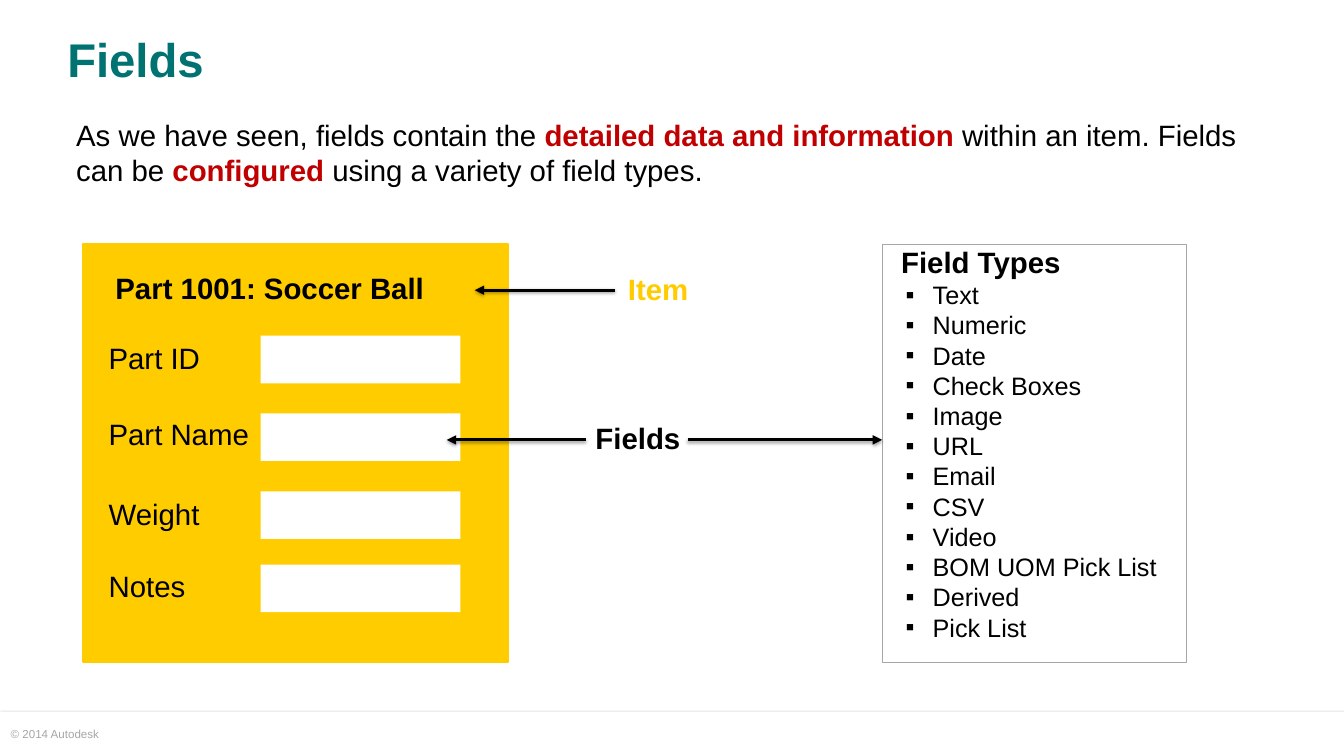
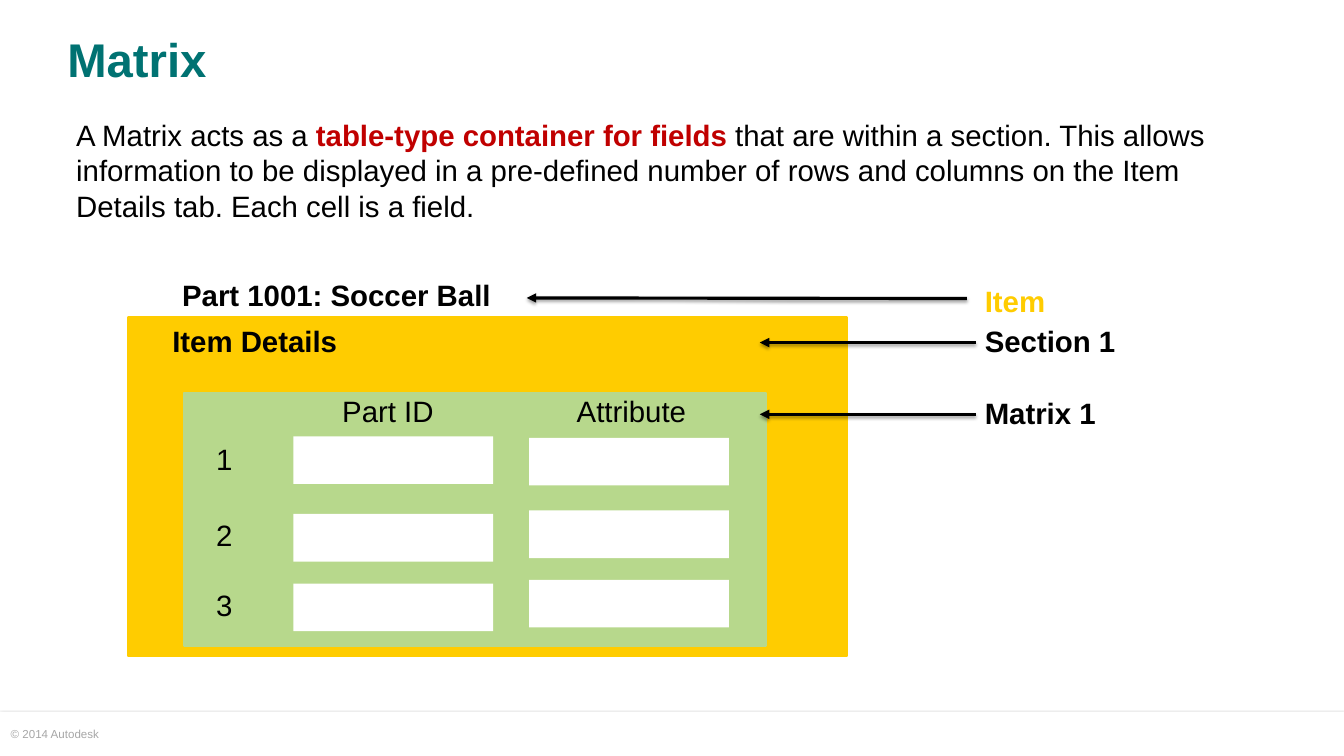
from lxml.etree import SubElement
from pptx import Presentation
from pptx.dml.color import RGBColor
from pptx.enum.shapes import MSO_CONNECTOR, MSO_SHAPE
from pptx.enum.text import MSO_ANCHOR, MSO_AUTO_SIZE, PP_ALIGN
from pptx.oxml import parse_xml
from pptx.oxml.ns import nsdecls, qn
from pptx.util import Cm, Pt

C = {"black": "000000", "white": "FFFFFF", "teal": "007272", "red": "C00000",
     "yellow": "FFCC00", "green": "B7D88C", "gray": "A6A6A6"}
FONT = "Arial"
SHADOW = (f'<a:effectLst {nsdecls("a")}><a:outerShdw blurRad="39400" dist="21600" dir="5400000" '
          'rotWithShape="0"><a:srgbClr val="000000"><a:alpha val="36000"/></a:srgbClr>'
          '</a:outerShdw></a:effectLst>')


def box(s, x, y, w, h, paras=(), fill=None, line=None, line_w=2, size=28, indent=0.3):
    at = Cm(x), Cm(y), Cm(w), Cm(h)
    if fill or line:
        sp = s.shapes.add_shape(MSO_SHAPE.RECTANGLE, *at)
        sp.shadow.inherit = False
        if fill:
            sp.fill.solid()
            sp.fill.fore_color.rgb = RGBColor.from_string(C[fill])
        else:
            sp.fill.background()
        if line:
            sp.line.color.rgb = RGBColor.from_string(C[line])
            sp.line.width = Pt(line_w)
        else:
            sp.line.fill.background()
    else:
        sp = s.shapes.add_textbox(*at)
    tf = sp.text_frame
    tf.word_wrap = True
    tf.vertical_anchor = MSO_ANCHOR.TOP
    tf.margin_left = tf.margin_top = tf.margin_right = tf.margin_bottom = 0
    for i, runs in enumerate(paras):
        p = tf.paragraphs[0] if i == 0 else tf.add_paragraph()
        p.alignment = PP_ALIGN.LEFT
        pPr = p._p.get_or_add_pPr()
        pPr.set("marL", str(Cm(indent if i == 0 else 1.7)))
        pPr.set("indent", str(Cm(0 if i == 0 else -0.91)))
        if i:
            SubElement(SubElement(pPr, qn("a:buClr")), qn("a:srgbClr"), val=C["black"])
            SubElement(pPr, qn("a:buFont"), typeface=FONT)
            SubElement(pPr, qn("a:buChar"), char="▪")
        for text, color, bold in runs:
            r = p.add_run()
            r.text = text
            r.font.name = FONT
            r.font.size = Pt(size if i == 0 else 24)
            r.font.bold = bold
            r.font.color.rgb = RGBColor.from_string(C[color])
    return sp


def arrow(s, x1, y1, x2, y2):
    c = s.shapes.add_connector(MSO_CONNECTOR.STRAIGHT, Cm(x1), Cm(y1), Cm(x2), Cm(y2))
    c.line.color.rgb = RGBColor.from_string(C["black"])
    c.line.width = Pt(3)
    spPr = c.element.spPr
    SubElement(spPr.find(qn("a:ln")), qn("a:tailEnd"), type="triangle")
    spPr.append(parse_xml(SHADOW))


prs = Presentation()
prs.slide_width, prs.slide_height = Cm(45.16), Cm(25.4)
layout = prs.slide_layouts[5]

pages = [
    ("Fields", 4.24, [("As we have seen, fields contain the ", "black", False),
                      ("detailed data and information ", "red", True),
                      ("within an item. Fields can be ", "black", False),
                      ("configured", "red", True),
                      (" using a variety of field types.", "black", False)]),
    ("Matrix", 2.36, [("A Matrix acts as a ", "black", False),
                      ("table-type container for fields ", "red", True),
                      ("that are within a section. This allows information to be displayed in a "
                       "pre-defined number of rows and columns on the Item Details tab. "
                       "Each cell is a field.", "black", False)]),
]
slides = []
for title, title_h, intro in pages:
    s = prs.slides.add_slide(layout)
    sp = s.shapes.title
    sp.left, sp.top, sp.width, sp.height = Cm(2.26), Cm(1.02), Cm(40.64), Cm(title_h)
    tf = sp.text_frame
    tf.margin_left = tf.margin_top = tf.margin_right = tf.margin_bottom = 0
    tf.vertical_anchor = MSO_ANCHOR.TOP
    tf.auto_size = MSO_AUTO_SIZE.NONE
    p = tf.paragraphs[0]
    p.alignment = PP_ALIGN.LEFT
    r = p.add_run()
    r.text = title
    r.font.name = FONT
    r.font.size = Pt(45)
    r.font.bold = True
    r.font.color.rgb = RGBColor.from_string(C["teal"])
    box(s, 2.26, 3.94, 40.64, 2.87, [intro])
    slides.append(s)

s = slides[0]
band = box(s, 0, 23.93, 45.16, 1.47, fill="white")
spPr = band.element.spPr
spPr.remove(spPr.find(qn("a:effectLst")))
spPr.append(parse_xml(SHADOW))
footer = box(s, 0.36, 24.43, 3.61, 0.48, [[("© 2014 Autodesk", "gray", False)]], size=11, indent=0)
for sp in (band, footer):
    layout.shapes.element.append(sp.element)

types = ["Text", "Numeric", "Date", "Check Boxes", "Image", "URL", "Email", "CSV", "Video",
         "BOM UOM Pick List", "Derived", "Pick List"]
box(s, 29.64, 8.2, 10.24, 14.05,
    [[("Field Types", "black", True)]] + [[(t, "black", False)] for t in types],
    line="gray", line_w=0.75, indent=0.64)
box(s, 2.79, 8.2, 14.27, 14.05, fill="yellow", line="yellow")
box(s, 3.58, 9.09, 11.89, 1.35, [[("Part 1001: Soccer Ball", "black", True)]])
for label, label_y, field_y in [("Part ID", 11.43, 11.28), ("Part Name", 13.97, 13.89),
                                ("Weight", 16.66, 16.51), ("Notes", 19.1, 18.97)]:
    box(s, 8.76, field_y, 6.71, 1.6, fill="white")
    box(s, 3.35, label_y, 6.17, 1.3, [[(label, "black", False)]])
box(s, 20.8, 9.12, 6.17, 1.3, [[("Item", "yellow", True)]])
box(s, 19.71, 14.12, 6.17, 1.3, [[("Fields", "black", True)]])
arrow(s, 20.65, 9.75, 15.95, 9.75)
arrow(s, 19.69, 14.78, 15.01, 14.78)
arrow(s, 23.11, 14.78, 29.64, 14.78)

s = slides[1]
box(s, 4.29, 10.67, 24.16, 11.38, fill="yellow", line="yellow")
box(s, 6.17, 13.21, 19.58, 8.48, fill="green", line="green")
box(s, 5.82, 9.3, 11.89, 1.35, [[("Part 1001: Soccer Ball", "black", True)]])
box(s, 5.49, 10.85, 11.89, 1.35, [[("Item Details", "black", True)]])
for x, label in [(11.2, "Part ID"), (19.08, "Attribute")]:
    box(s, x, 13.21, 6.17, 1.3, [[(label, "black", False)]])
rows = [(14.83, 14.66, 14.71), (17.37, 17.27, 17.15), (19.71, 19.61, 19.48)]
for n, (label_y, id_y, attr_y) in enumerate(rows, 1):
    box(s, 6.96, label_y, 6.17, 1.3, [[(str(n), "black", False)]])
    box(s, 9.86, id_y, 6.71, 1.6, fill="white")
    box(s, 17.78, attr_y, 6.71, 1.6, fill="white")
for label, color, y, ends in [("Item", "yellow", 9.5, (32.49, 10.03, 17.7, 10.01)),
                              ("Section 1", "black", 10.85, (32.79, 11.51, 25.53, 11.51)),
                              ("Matrix 1", "black", 13.26, (32.79, 13.92, 25.53, 13.92))]:
    box(s, 32.79, y, 6.17, 1.3, [[(label, color, True)]])
    arrow(s, *ends)

prs.save("out.pptx")
